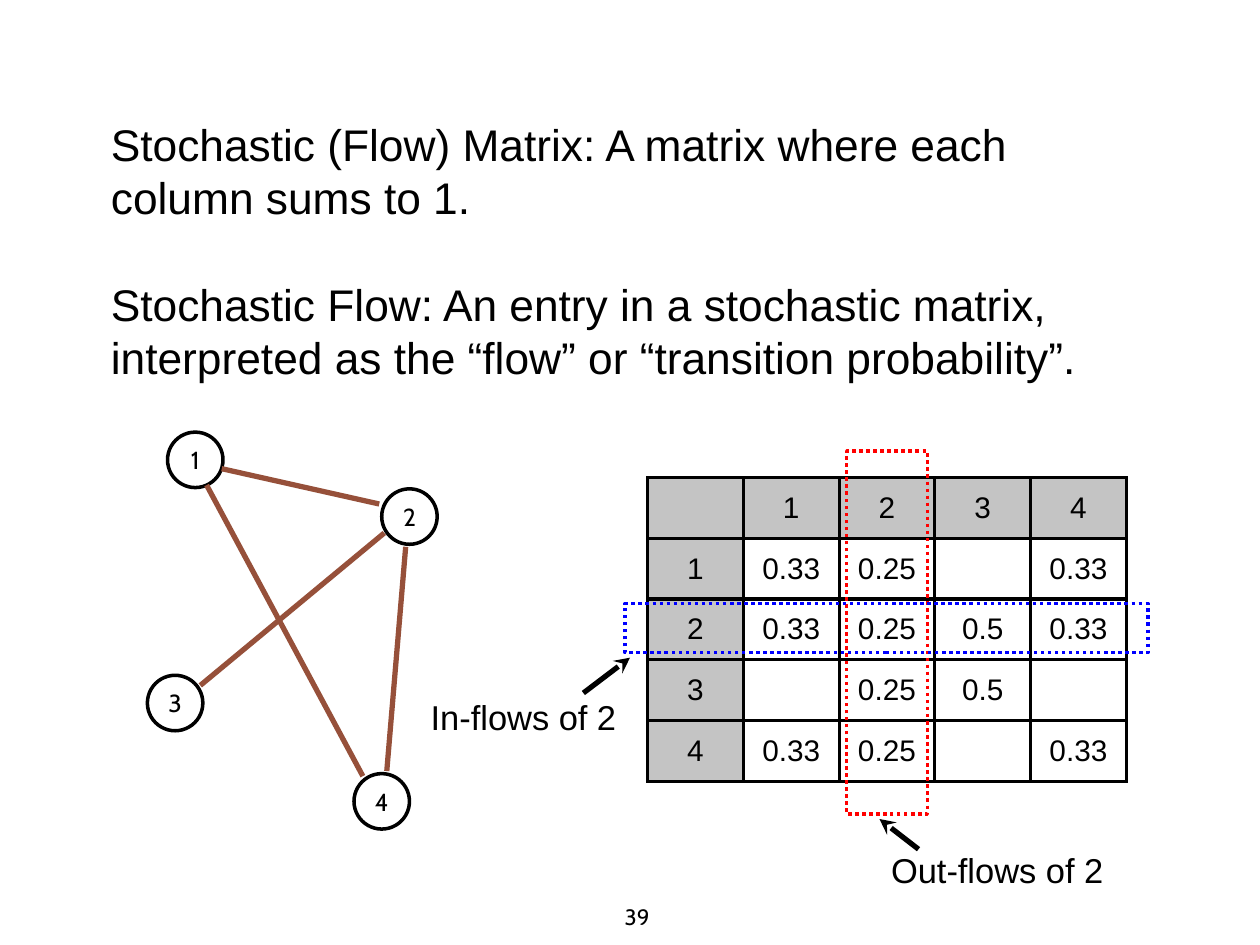
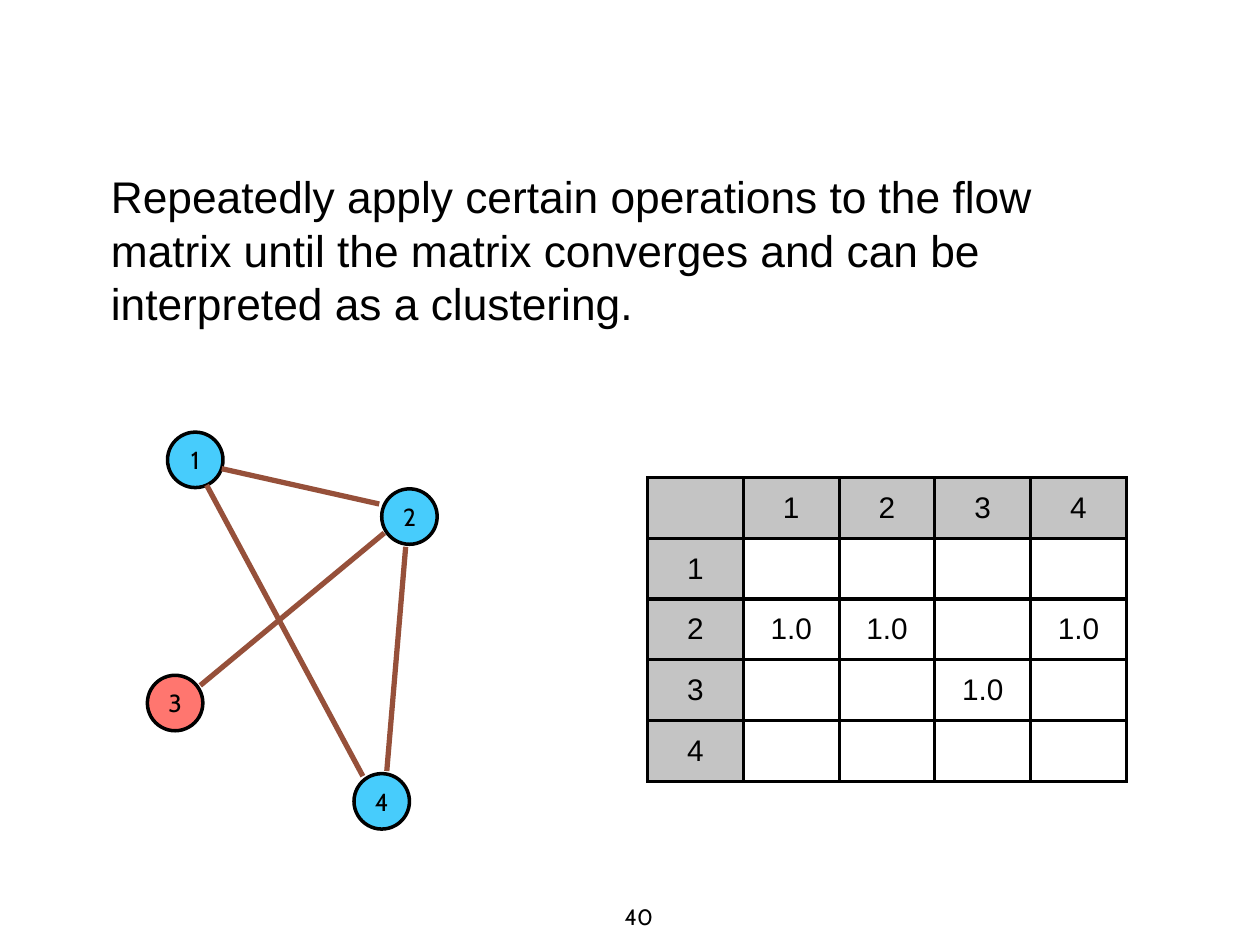
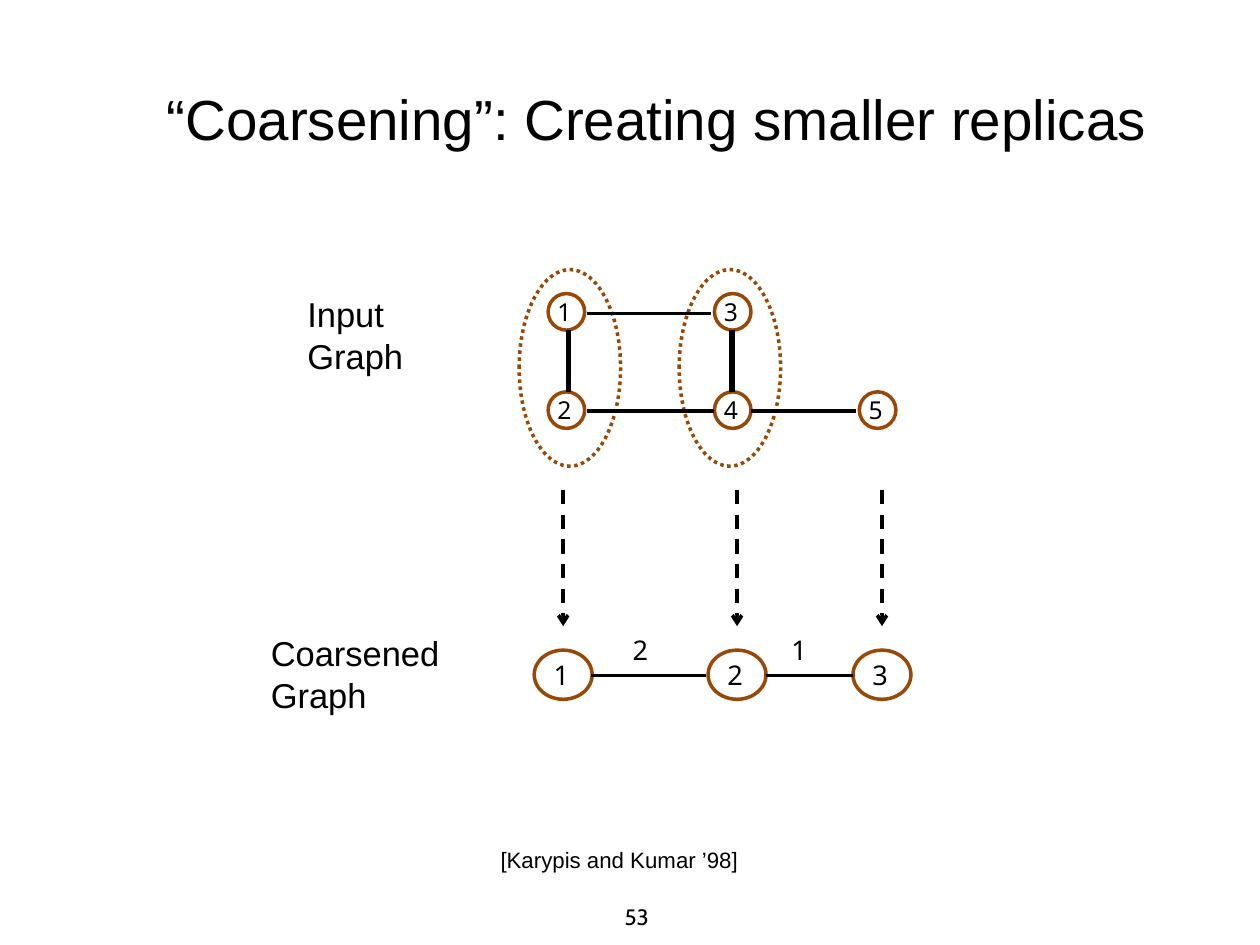
from dataclasses import dataclass
from typing import NamedTuple

from lxml import etree
from pptx import Presentation
from pptx.dml.color import RGBColor
from pptx.enum.dml import MSO_LINE
from pptx.enum.shapes import MSO_CONNECTOR, MSO_SHAPE
from pptx.enum.text import MSO_ANCHOR, PP_ALIGN
from pptx.oxml.ns import qn
from pptx.util import Inches, Pt

LEFT, CENTER = PP_ALIGN.LEFT, PP_ALIGN.CENTER
TOP, MIDDLE = MSO_ANCHOR.TOP, MSO_ANCHOR.MIDDLE
OVAL, RECT = MSO_SHAPE.OVAL, MSO_SHAPE.RECTANGLE
STRAIGHT = MSO_CONNECTOR.STRAIGHT
DOT, DASH = MSO_LINE.ROUND_DOT, MSO_LINE.DASH

WIDE, HIGH = Inches(10), Inches(7.5)
COLS, ROWS = 100, 75


class Style(NamedTuple):
    face: str
    size: float
    lead: float = 0


@dataclass(frozen=True)
class Theme:
    black: str = "000000"
    grey: str = "C4C4C4"
    brown: str = "96503A"
    rust: str = "984807"
    red: str = "FF0000"
    blue: str = "0000FF"
    sky: str = "47CCFC"
    coral: str = "FF766F"
    thin: float = 2
    thick: float = 3
    title: Style = Style("Arial", 32.3, 1.2)
    body: Style = Style("Arial", 25.3, 1.2)
    label: Style = Style("Arial", 19.7, 1.2)
    cell: Style = Style("Arial", 17)
    note: Style = Style("Arial", 12.7)
    page: Style = Style("Cabin", 12.7)
    node: Style = Style("Cabin", 14.1)
    fine: Style = Style("Noto Sans", 14.1)
    coarse: Style = Style("Noto Sans", 15.5)


THEME = Theme()


class Box(NamedTuple):
    x: float
    y: float
    w: float
    h: float


class Pad(NamedTuple):
    left: float = 0
    top: float = 0
    right: float = 0
    base: float = 0


class Edge(NamedTuple):
    x1: float
    y1: float
    x2: float
    y2: float


class Pen(NamedTuple):
    color: str = THEME.black
    width: float = THEME.thin
    dash: MSO_LINE | None = None
    tip: str = ""


class Node(NamedTuple):
    name: str
    x: float
    y: float


FLAT = Pad()
BODY = Box(8.8, 8.9, 80.8, 21.9)
DISC = 4.4
NODES = [Node("3", 11.7, 53.6), Node("1", 13.3, 34.3),
         Node("2", 30.3, 38.8), Node("4", 28.1, 61.4)]
LINKS = [Edge(15.9, 54.4, 30.5, 42.3), Edge(17.6, 37.2, 30.1, 40),
         Edge(30.7, 61.2, 32.2, 43.4), Edge(28.8, 61.6, 16.4, 38.5)]


def col(count: float) -> int:
    return round(WIDE * count / COLS)


def row(count: float) -> int:
    return round(HIGH * count / ROWS)


def frame(box: Box) -> tuple[int, int, int, int]:
    return col(box.x), row(box.y), col(box.w), row(box.h)


def dress(para, style: Style, align=LEFT) -> None:
    para.alignment = align
    para.font.name = style.face
    para.font.size = Pt(style.size)
    para.font.color.rgb = RGBColor.from_string(THEME.black)
    if style.lead:
        para.line_spacing = Pt(round(style.size * style.lead, 1))


def fill_text(shape, lines: list[str], style: Style, align=LEFT, anchor=MIDDLE,
              pad: Pad = FLAT, wrap: bool = True, gap: float = 0) -> None:
    frame_ = shape.text_frame
    frame_.word_wrap = wrap
    frame_.vertical_anchor = anchor
    frame_.margin_left, frame_.margin_right = col(pad.left), col(pad.right)
    frame_.margin_top, frame_.margin_bottom = row(pad.top), row(pad.base)
    frame_.text = "\n".join(lines)
    for place, para in enumerate(frame_.paragraphs):
        dress(para, style, align)
        if place and gap:
            para.space_before = Pt(gap)


def write(slide, box: Box, lines: list[str], style: Style, **look) -> None:
    fill_text(slide.shapes.add_textbox(*frame(box)), lines, style, **look)


def stroke(line, pen: Pen) -> None:
    line.color.rgb = RGBColor.from_string(pen.color)
    line.width = Pt(pen.width)
    if pen.dash is not None:
        line.dash_style = pen.dash


def shape(slide, kind, box: Box, pen: Pen, fill: str = ""):
    item = slide.shapes.add_shape(kind, *frame(box))
    item.shadow.inherit = False
    if fill:
        item.fill.solid()
        item.fill.fore_color.rgb = RGBColor.from_string(fill)
    else:
        item.fill.background()
    stroke(item.line, pen)
    return item


def link(slide, edge: Edge, pen: Pen) -> None:
    item = slide.shapes.add_connector(STRAIGHT, col(edge.x1), row(edge.y1),
                                      col(edge.x2), row(edge.y2))
    stroke(item.line, pen)
    props = item._element.spPr
    if pen.tip:
        etree.SubElement(props.find(qn("a:ln")), qn("a:tailEnd"), type=pen.tip)
    etree.SubElement(props, qn("a:effectLst"))


def rule(cell) -> None:
    props = cell._tc.get_or_add_tcPr()
    for side in ("lnL", "lnR", "lnT", "lnB"):
        line = etree.SubElement(props, qn(f"a:{side}"), w=str(Pt(THEME.thin)))
        paint = etree.SubElement(line, qn("a:solidFill"))
        etree.SubElement(paint, qn("a:srgbClr"), val=THEME.black)


def matrix(slide, flows: list[list[str]]) -> None:
    count = len(flows) + 1
    names = [str(n) for n in range(1, count)]
    grid = [["", *names]] + [[n, *line] for n, line in zip(names, flows)]
    table = slide.shapes.add_table(count, count, *frame(Box(51.4, 37.9, 38, 24.1))).table
    table.first_row = table.horz_banding = False
    for r, line in enumerate(grid):
        for c, value in enumerate(line):
            cell = table.cell(r, c)
            rule(cell)
            if r and c:
                cell.fill.background()
            else:
                cell.fill.solid()
                cell.fill.fore_color.rgb = RGBColor.from_string(THEME.grey)
            cell.margin_left = cell.margin_right = col(0.4)
            cell.margin_top = cell.margin_bottom = row(0.4)
            cell.vertical_anchor = MIDDLE
            cell.text = value
            dress(cell.text_frame.paragraphs[0], THEME.cell, CENTER)


def graph(slide, fills: dict[str, str]) -> None:
    for node in NODES:
        disc = shape(slide, OVAL, Box(node.x, node.y, DISC, DISC), Pen(),
                     fills.get(node.name, ""))
        fill_text(disc, [node.name], THEME.node, align=CENTER)
    for edge in LINKS:
        link(slide, edge, Pen(THEME.brown, THEME.thick))


def start(deck, page: int):
    slide = deck.slides.add_slide(deck.slide_layouts[6])
    write(slide, Box(48.6, 71.2, 3.8, 2.8), [str(page)], THEME.page,
          anchor=TOP, pad=Pad(left=1, top=0.5))
    return slide


def draw_flow(deck) -> None:
    slide = start(deck, 39)
    graph(slide, {})
    matrix(slide, [["0.33", "0.25", "", "0.33"],
                   ["0.33", "0.25", "0.5", "0.33"],
                   ["", "0.25", "0.5", ""],
                   ["0.33", "0.25", "", "0.33"]])
    arrow = Pen(width=THEME.thick, tip="stealth")
    marks = [
        (Box(67.2, 35.8, 6.4, 28.8), THEME.red, Edge(72.9, 67.4, 69.8, 65),
         Box(70.6, 67.4, 17.1, 3.3), "Out-flows of 2"),
        (Box(49.6, 47.9, 41.5, 3.9), THEME.blue, Edge(46.3, 55, 50, 52.2),
         Box(34.1, 55.2, 14.9, 3.3), "In-flows of 2"),
    ]
    for ring, color, edge, spot, label in marks:
        shape(slide, RECT, ring, Pen(color, dash=DOT))
        link(slide, edge, arrow)
        write(slide, spot, [label], THEME.label, align=CENTER, wrap=False)
    write(slide, BODY, [
        "Stochastic (Flow) Matrix: A matrix where each column sums to 1.",
        "Stochastic Flow: An entry in a stochastic matrix, interpreted as "
        "the “flow” or “transition probability”.",
    ], THEME.body, gap=THEME.body.size * THEME.body.lead)


def draw_cluster(deck) -> None:
    slide = start(deck, 40)
    write(slide, Box(BODY.x, 13.1, BODY.w, 13.4), [
        "Repeatedly apply certain operations to the flow matrix until the "
        "matrix converges and can be interpreted as a clustering.",
    ], THEME.body)
    matrix(slide, [["", "", "", ""],
                   ["1.0", "1.0", "", "1.0"],
                   ["", "", "1.0", ""],
                   ["", "", "", ""]])
    graph(slide, {"1": THEME.sky, "2": THEME.sky, "3": THEME.coral, "4": THEME.sky})


def draw_coarse(deck) -> None:
    slide = start(deck, 53)
    ring = Pen(THEME.rust)
    upper, lower, base = 23.3, 31.1, 51.6
    one, two, three = 43.5, 56.7, 68.2
    mids = [44.7, 58.5, 70]
    inputs = [Node("1", one, upper), Node("2", one, lower), Node("3", two, upper),
              Node("4", two, lower), Node("5", three, lower)]
    merged = [Node(str(n), mid - 2.3, base) for n, mid in enumerate(mids, 1)]
    for nodes, wide, high, style in ((inputs, 2.9, 2.9, THEME.fine),
                                     (merged, 4.6, 3.9, THEME.coarse)):
        for node in nodes:
            disc = shape(slide, OVAL, Box(node.x, node.y, wide, high), ring)
            fill_text(disc, [node.name], style, align=CENTER,
                      pad=Pad(right=0.3), wrap=False)
    for x in (41.2, 53.9):
        shape(slide, OVAL, Box(x, 21.4, 8.05, 15.6), Pen(THEME.rust, dash=DOT))
    for mid in mids:
        link(slide, Edge(mid, 38.9, mid, 49.7), Pen(dash=DASH, tip="arrow"))
    for edge in (Edge(46.6, 24.9, 56.4, 24.9), Edge(46.6, 32.6, 56.7, 32.6),
                 Edge(59.6, 32.6, 67.9, 32.6), Edge(46.9, 53.6, 56, 53.6),
                 Edge(60.8, 53.6, 67.7, 53.6)):
        link(slide, edge, Pen())
    for x in (45.1, 58.1):
        link(slide, Edge(x, 26.2, x, 31.1), Pen(width=THEME.thick))
    inset = Pad(left=0.4, right=0.3)
    for box, lines, style in (
        (Box(49.8, 50.3, 4.5, 4.7), ["2"], THEME.coarse),
        (Box(62.4, 50.3, 4.5, 4.7), ["1"], THEME.coarse),
        (Box(21.1, 50.2, 21.4, 12.5), ["Coarsened", "Graph"], THEME.label),
        (Box(24, 23.3, 13.6, 8.8), ["Input", "Graph"], THEME.label),
    ):
        write(slide, box, lines, style, anchor=TOP, pad=inset)
    write(slide, Box(12.3, 6.3, 79.6, 11), ["“Coarsening”: Creating smaller replicas"],
          THEME.title, align=CENTER, pad=Pad(base=4.9))
    write(slide, Box(39.7, 67.2, 18.9, 2.1), ["[Karypis and Kumar ’98]"],
          THEME.note, align=CENTER, wrap=False)


def main() -> None:
    deck = Presentation()
    deck.slide_width, deck.slide_height = WIDE, HIGH
    for draw in (draw_flow, draw_cluster, draw_coarse):
        draw(deck)
    deck.save("out.pptx")


if __name__ == "__main__":
    main()
